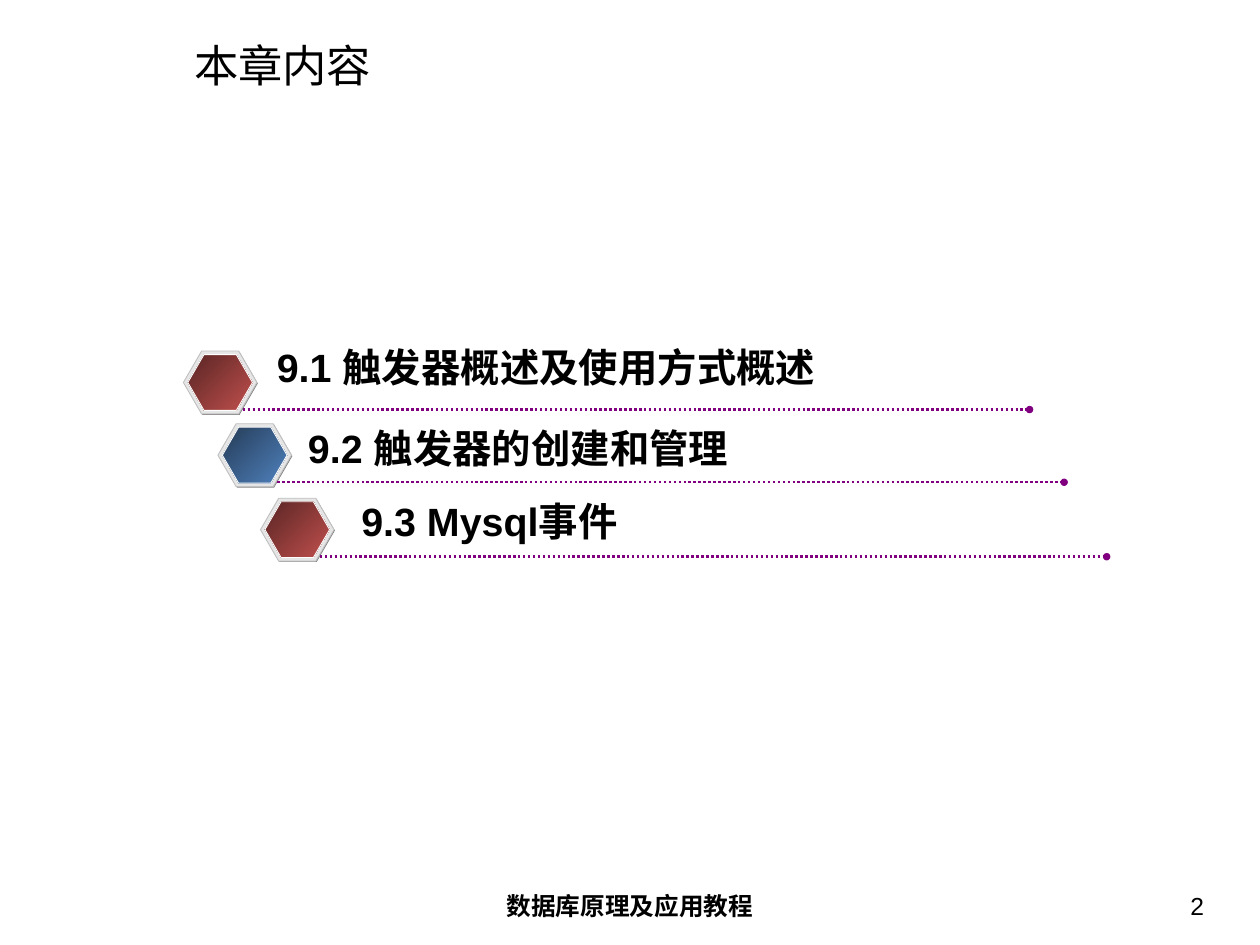
from pptx import Presentation
from pptx.dml.color import RGBColor
from pptx.enum.dml import MSO_LINE
from pptx.enum.shapes import MSO_CONNECTOR, MSO_SHAPE
from pptx.enum.text import MSO_ANCHOR, MSO_AUTO_SIZE, PP_ALIGN
from pptx.oxml.ns import qn
from pptx.util import Inches, Pt
from lxml import etree

HEXAGON = MSO_SHAPE.HEXAGON
STRAIGHT = MSO_CONNECTOR.STRAIGHT
DOTTED = MSO_LINE.ROUND_DOT
TOP, MIDDLE = MSO_ANCHOR.TOP, MSO_ANCHOR.MIDDLE
LEFT, CENTER, RIGHT = PP_ALIGN.LEFT, PP_ALIGN.CENTER, PP_ALIGN.RIGHT
NO_AUTOFIT = MSO_AUTO_SIZE.NONE

TITLE_ONLY = 5
RED = ("592524", "C0504D")
BLUE = ("253C57", "4F81BD")
SECTIONS = [
    (2.07, 3.96, RED, "9.1 触发器概述及使用方式概述", (2.97, 3.82, 6.39, 0.64), CENTER),
    (2.46, 4.78, BLUE, "9.2 触发器的创建和管理", (2.93, 4.74, 5.84, 0.64), CENTER),
    (2.94, 5.62, RED, "9.3 Mysql事件", (3.98, 5.56, 3.2, 0.64), LEFT),
]


def color(hex_code):
    """Turn a hex string into a colour."""
    return RGBColor.from_string(hex_code)


def write(frame, text, size, align, insets, bold=False, anchor=TOP, wrap=True):
    """Fill a text frame with one formatted run."""
    frame.auto_size = NO_AUTOFIT
    frame.word_wrap = wrap
    frame.vertical_anchor = anchor
    frame.margin_left = frame.margin_right = Inches(insets[0])
    frame.margin_top = frame.margin_bottom = Inches(insets[1])
    paragraph = frame.paragraphs[0]
    paragraph.alignment = align
    run = paragraph.add_run()
    run.text = text
    run.font.name = "Arial"
    run.font.size = Pt(size)
    run.font.bold = bold
    run.font.color.rgb = color("000000")


def add_label(shapes, box, text, size, align, insets, bold=False, wrap=True):
    """Add a text box with one line of text."""
    label = shapes.add_textbox(*map(Inches, box))
    write(label.text_frame, text, size, align, insets, bold, wrap=wrap)


def add_hexagon(shapes, left, top, width, height, fill, outline=None):
    """Add a hexagon with a plain fill or a diagonal two-colour gradient."""
    hexagon = shapes.add_shape(HEXAGON, *map(Inches, (left, top, width, height)))
    hexagon.shadow.inherit = False
    hexagon.adjustments[0] = 0.29
    if isinstance(fill, tuple):
        hexagon.fill.gradient()
        hexagon.fill.gradient_angle = 315
        for stop, shade, position in zip(hexagon.fill.gradient_stops, fill, (0, 1)):
            stop.color.rgb = color(shade)
            stop.position = position
    else:
        hexagon.fill.solid()
        hexagon.fill.fore_color.rgb = color(fill)
    if outline:
        hexagon.line.color.rgb = color(outline)
        hexagon.line.width = Pt(0.75)
    else:
        hexagon.line.fill.background()


def add_dotted_rule(shapes, left, top, length):
    """Add a dotted horizontal line that ends in a dot."""
    rule = shapes.add_connector(
        STRAIGHT, Inches(left), Inches(top), Inches(left + length), Inches(top))
    rule.line.color.rgb = color("800080")
    rule.line.width = Pt(2)
    rule.line.dash_style = DOTTED
    etree.SubElement(rule.line._get_or_add_ln(), qn("a:tailEnd"), type="oval")
    etree.SubElement(rule._element.spPr, qn("a:effectLst"))


def add_section(slide, left, top, shades, heading, heading_box, align):
    """Add one contents row: bevelled hexagon, dotted rule and heading."""
    row = slide.shapes.add_group_shape().shapes
    add_hexagon(row, left + 0.01, top + 0.01, 0.83, 0.71, "808080")
    add_hexagon(row, left, top, 0.83, 0.71, "E6E6E6", "C0C0C0")
    add_hexagon(row, left + 0.05, top + 0.04, 0.73, 0.63, shades, "FFFFFF")
    add_dotted_rule(row, left + 0.67, top + 0.66, 8.88)
    add_label(row, heading_box, heading, 32, align, (0.1, 0.05), bold=True, wrap=False)


def add_title(slide, text):
    """Place and fill the slide title."""
    title = slide.shapes.title
    title.left, title.top = Inches(2.05), Inches(0.45)
    title.width, title.height = Inches(11.83), Inches(0.57)
    write(title.text_frame, text, 36, LEFT, (0.14, 0.07), anchor=MIDDLE)


def main():
    """Build the chapter contents slide."""
    deck = Presentation()
    deck.slide_width, deck.slide_height = Inches(14.22), Inches(10.66)
    slide = deck.slides.add_slide(deck.slide_layouts[TITLE_ONLY])
    add_title(slide, "本章内容")
    footer_insets = (0.14, 0.07)
    add_label(slide.shapes, (4.86, 9.98, 4.5, 0.55), "数据库原理及应用教程", 20,
              CENTER, footer_insets, bold=True)
    add_label(slide.shapes, (10.41, 9.98, 3.32, 0.55), "2", 20, RIGHT, footer_insets)
    for section in SECTIONS:
        add_section(slide, *section)
    deck.save("out.pptx")


if __name__ == "__main__":
    main()
